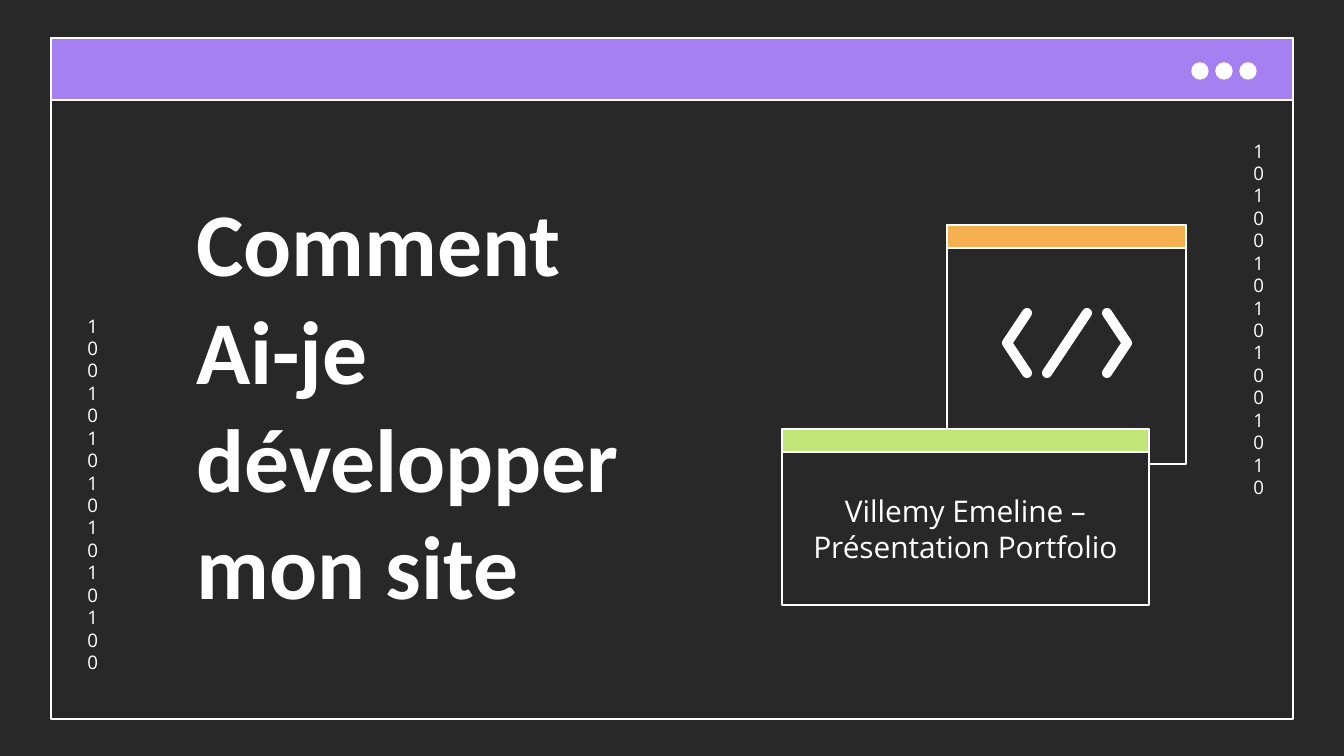
from math import cos, pi, sin, atan2

from pptx import Presentation
from pptx.dml.color import RGBColor
from pptx.enum.shapes import MSO_SHAPE as Kind
from pptx.enum.text import MSO_ANCHOR as Anchor, MSO_AUTO_SIZE as Fit, PP_ALIGN as Align
from pptx.util import Inches, Pt

PX = Inches(10) / 1344
DARK = RGBColor(0x29, 0x28, 0x28)
WHITE = RGBColor(0xFF, 0xFF, 0xFF)
PURPLE = RGBColor(0xA6, 0x7F, 0xF1)
ORANGE = RGBColor(0xF5, 0xB1, 0x50)
GREEN = RGBColor(0xC0, 0xE6, 0x7A)


def px(*sizes):
    """Turn px lengths into EMU."""
    return [round(size * PX) for size in sizes]


def add_box(slide, x, y, w, h, fill=None, kind=Kind.RECTANGLE):
    box = slide.shapes.add_shape(kind, *px(x, y, w, h))
    box.shadow.inherit = False
    if fill is None:
        box.fill.background()
    else:
        box.fill.solid()
        box.fill.fore_color.rgb = fill
    box.line.color.rgb = WHITE
    box.line.width = Pt(0.75)
    return box


def set_text(shape, text, font, size, align, anchor, bold=False):
    frame = shape.text_frame
    frame.word_wrap = True
    frame.auto_size = Fit.NONE
    frame.vertical_anchor = anchor
    frame.margin_left = frame.margin_right = Inches(0.1)
    frame.margin_top = frame.margin_bottom = Inches(0.1)
    para = frame.paragraphs[0]
    para.text = text
    para.alignment = align
    for run in para.runs:
        run.font.name = font
        run.font.size = Pt(size)
        run.font.bold = bold
        run.font.color.rgb = WHITE


def add_bits(slide, x, y, bits):
    """Add a column so narrow that each digit wraps to its own line."""
    box = slide.shapes.add_textbox(*px(x, y, 32, 376))
    set_text(box, bits, "Open Sans", 10, Align.CENTER, Anchor.TOP)


def outline(points, rad, steps=8):
    """Return the outline of a thick line with round ends and corners."""
    loop = points + points[-2:0:-1]
    edge = []
    for i, (x, y) in enumerate(loop):
        (ax, ay), (bx, by) = loop[i - 1], loop[(i + 1) % len(loop)]
        start = atan2(y - ay, x - ax)
        turn = (atan2(by - y, bx - x) - start) % (2 * pi)
        if turn < 1.2 * pi:
            dist, angles = rad, [turn * k / steps for k in range(steps + 1)]
        else:
            dist, angles = rad / abs(cos(turn / 2)), [turn / 2 - pi]
        for angle in angles:
            way = start - pi / 2 + angle
            edge.append(px(x + dist * cos(way), y + dist * sin(way)))
    return edge


def add_icon(slide, mid, top, rad):
    """Draw the code sign, its chevrons mirrored about mid."""
    low = top + 60
    marks = [[(mid + 20, top), (mid - 20, low)]]
    for side in (-1, 1):
        marks.append([(mid + side * 40, top), (mid + side * 60, top + 30),
                      (mid + side * 40, low)])
    edges = [outline(mark, rad) for mark in marks]
    build = slide.shapes.build_freeform(*edges[0][0])
    build.add_line_segments(edges[0][1:])
    for edge in edges[1:]:
        build.move_to(*edge[0])
        build.add_line_segments(edge[1:])
    icon = build.convert_to_shape()
    icon.shadow.inherit = False
    icon.fill.solid()
    icon.fill.fore_color.rgb = WHITE
    icon.line.fill.background()


def add_title(slide, text):
    title = slide.shapes.title
    title.left, title.top, title.width, title.height = px(183, 177, 520, 454)
    set_text(title, text, "Calibri", 48, Align.LEFT, Anchor.BOTTOM, True)


def main():
    deck = Presentation()
    deck.slide_width, deck.slide_height = px(1344, 756)
    slide = deck.slides.add_slide(deck.slide_layouts[5])
    slide.background.fill.solid()
    slide.background.fill.fore_color.rgb = DARK

    add_box(slide, 51, 38, 1242, 681)
    add_box(slide, 51, 38, 1242, 62, PURPLE)
    for i in range(3):
        add_box(slide, 1192 + 24 * i, 63, 16, 16, WHITE, Kind.OVAL)
    add_bits(slide, 1240, 126, "1010010101001010")
    add_bits(slide, 74, 301, "1001010101010100")

    add_title(slide, "Comment\vAi-je\vdévelopper\vmon site")

    add_box(slide, 947, 225, 239, 239)
    add_box(slide, 947, 225, 239, 23, ORANGE)
    add_icon(slide, 1067, 313, 5)

    card = add_box(slide, 782, 452, 367, 153, DARK)
    set_text(card, "Villemy Emeline – Présentation Portfolio",
             "Open Sans", 16, Align.CENTER, Anchor.MIDDLE)
    add_box(slide, 782, 429, 367, 23, GREEN)
    deck.save("out.pptx")


if __name__ == "__main__":
    main()
